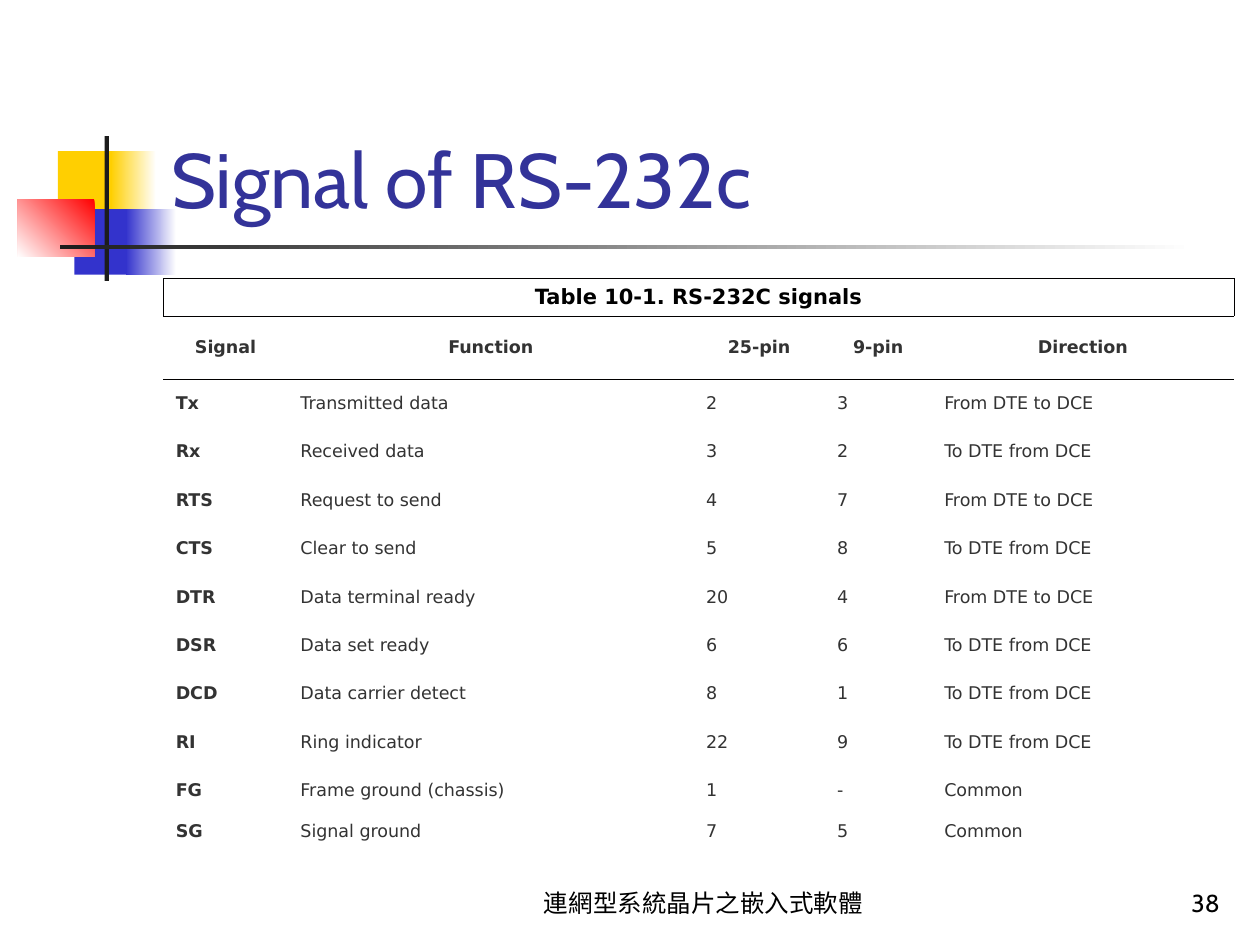
import dataclasses

import lxml.etree
import pptx
import pptx.dml.color
import pptx.enum.shapes
import pptx.enum.text
import pptx.oxml.ns
import pptx.util

ALIGN = pptx.enum.text.PP_ALIGN
ANCHOR = pptx.enum.text.MSO_ANCHOR


@dataclasses.dataclass(frozen=True)
class Theme:
    """Colours, fonts and type sizes of the slide."""
    yellow: str = "FFCF01"
    blue: str = "3333CC"
    red: str = "FF0000"
    white: str = "FFFFFF"
    rule: str = "1C1C1C"
    title: str = "333399"
    ink: str = "000000"
    body: str = "333333"
    border: str = "010000"
    heading_font: str = "Cabin"
    table_font: str = "DejaVu Sans"
    title_size: int = 44
    footer_size: int = 14
    caption_size: int = 12
    body_size: int = 10


THEME = Theme()
SLIDE_WIDTH = pptx.util.Inches(10)
SLIDE_HEIGHT = pptx.util.Inches(7.5)
GRID_COLUMNS, GRID_ROWS = 100, 75
HANGING = 3.75
BORDER_POINTS = 0.06
NO_TABLE_STYLE = "{2D5ABB26-0587-4C30-8999-92F81FD0307C}"

COLUMN_SPANS = [9.9, 32.2, 10.4, 8.5, 24]
TABLE_ROWS, CAPTION_ROWS, HEADER_ROWS, LAST_ROWS = 45.3, 3, 5, 2.7
CAPTION = "Table 10-1. RS-232C signals"
HEADER = ["Signal", "Function", "25-pin", "9-pin", "Direction"]
OUTWARD, INWARD, COMMON = "From DTE to DCE", "To DTE from DCE", "Common"
SIGNALS = [
    ["Tx", "Transmitted data", "2", "3", OUTWARD],
    ["Rx", "Received data", "3", "2", INWARD],
    ["RTS", "Request to send", "4", "7", OUTWARD],
    ["CTS", "Clear to send", "5", "8", INWARD],
    ["DTR", "Data terminal ready", "20", "4", OUTWARD],
    ["DSR", "Data set ready", "6", "6", INWARD],
    ["DCD", "Data carrier detect", "8", "1", INWARD],
    ["RI", "Ring indicator", "22", "9", INWARD],
    ["FG", "Frame ground (chassis)", "1", "-", COMMON],
    ["SG", "Signal ground", "7", "5", COMMON],
]


def across(columns):
    """Return the width of a number of grid columns."""
    return round(SLIDE_WIDTH * columns / GRID_COLUMNS)


def down(rows):
    """Return the height of a number of grid rows."""
    return round(SLIDE_HEIGHT * rows / GRID_ROWS)


def place(left, top, width, height):
    """Turn a grid position into slide lengths."""
    return across(left), down(top), across(width), down(height)


def rgb(code):
    """Return the colour for a hex code."""
    return pptx.dml.color.RGBColor.from_string(code)


def style_paragraph(paragraph, font, size, color, align, bold=False):
    """Align a paragraph and format its runs."""
    paragraph.alignment = align
    for run in paragraph.runs:
        run.font.name = font
        run.font.size = pptx.util.Pt(size)
        run.font.color.rgb = rgb(color)
        run.font.bold = bold


def add_block(slide, position, start, end=None, angle=0):
    """Add a borderless rectangle, plain or fading from start to end."""
    block = slide.shapes.add_shape(
        pptx.enum.shapes.MSO_SHAPE.RECTANGLE, *place(*position))
    block.shadow.inherit = False
    block.line.fill.background()
    if end is None:
        block.fill.solid()
        block.fill.fore_color.rgb = rgb(start)
        return
    block.fill.gradient()
    block.fill.gradient_angle = angle
    for stop, code, share in zip(block.fill.gradient_stops, (start, end), (0, 1)):
        stop.color.rgb = rgb(code)
        stop.position = share


def add_ornament(slide):
    """Add the coloured squares and the crossing rules beside the title."""
    add_block(slide, (4.6, 12, 4.8, 5.2), THEME.yellow)
    add_block(slide, (8.8, 12, 3.6, 5.2), THEME.white, THEME.yellow, 180)
    add_block(slide, (5.9, 16.6, 4.6, 5.2), THEME.blue)
    add_block(slide, (10, 16.6, 4, 5.2), THEME.white, THEME.blue, 180)
    add_block(slide, (1.4, 15.8, 6.1, 4.6), THEME.red, THEME.white, 225)
    add_block(slide, (8.3, 10.8, 0.35, 11.5), THEME.rule)
    add_block(slide, (4.8, 19.45, 90, 0.35), THEME.white, THEME.rule, 180)


def add_label(slide, position, text, size, color, align):
    """Add a bottom-anchored line of text in the heading font."""
    frame = slide.shapes.add_textbox(*place(*position)).text_frame
    frame.word_wrap = True
    frame.vertical_anchor = ANCHOR.BOTTOM
    frame.text = text
    style_paragraph(frame.paragraphs[0], THEME.heading_font, size, color, align)


def fill_cell(cell, text, size, color, align, bold):
    """Write text with a hanging indent into an unfilled cell."""
    cell.fill.background()
    cell.vertical_anchor = ANCHOR.MIDDLE
    cell.text_frame.text = text
    paragraph = cell.text_frame.paragraphs[0]
    properties = paragraph._p.get_or_add_pPr()
    properties.set("marL", str(across(HANGING)))
    properties.set("indent", str(-across(HANGING)))
    style_paragraph(paragraph, THEME.table_font, size, color, align, bold)


def add_borders(cell, sides):
    """Draw hairlines on the given sides, in the order L, R, T, B."""
    name = pptx.oxml.ns.qn
    properties = cell._tc.get_or_add_tcPr()
    for index, side in enumerate(sides):
        line = lxml.etree.Element(
            name(f"a:ln{side}"), w=str(pptx.util.Pt(BORDER_POINTS)))
        paint = lxml.etree.SubElement(line, name("a:solidFill"))
        lxml.etree.SubElement(paint, name("a:srgbClr"), val=THEME.border)
        properties.insert(index, line)


def add_signal_table(slide):
    """Add the captioned table of signals."""
    records = [[CAPTION] + [""] * (len(HEADER) - 1), HEADER, *SIGNALS]
    even_rows = (TABLE_ROWS - CAPTION_ROWS - HEADER_ROWS - LAST_ROWS) / (len(SIGNALS) - 1)
    row_spans = [CAPTION_ROWS, HEADER_ROWS] + [even_rows] * (len(SIGNALS) - 1) + [LAST_ROWS]
    table = slide.shapes.add_table(
        len(records), len(HEADER),
        *place(12.95, 22.1, sum(COLUMN_SPANS), TABLE_ROWS)).table
    table.first_row = table.horz_banding = False
    table._tbl.tblPr.find(pptx.oxml.ns.qn("a:tableStyleId")).text = NO_TABLE_STYLE
    for column, span in zip(table.columns, COLUMN_SPANS):
        column.width = across(span)
    for row, span in zip(table.rows, row_spans):
        row.height = down(span)
    table.cell(0, 0).merge(table.cell(0, len(HEADER) - 1))
    for r, record in enumerate(records):
        size, color = ((THEME.caption_size, THEME.ink) if r == 0
                       else (THEME.body_size, THEME.body))
        align = ALIGN.CENTER if r < 2 else ALIGN.LEFT
        for c, text in enumerate(record):
            cell = table.cell(r, c)
            fill_cell(cell, text, size, color, align, r < 2 or c == 0)
            if r < 2:
                add_borders(cell, "LRTB" if r == 0 else "T")


def main():
    """Build and save the slide."""
    deck = pptx.Presentation()
    deck.slide_width, deck.slide_height = SLIDE_WIDTH, SLIDE_HEIGHT
    slide = deck.slides.add_slide(deck.slide_layouts[6])
    add_ornament(slide)
    add_label(slide, (12.6, 2.3, 85.2, 16), "Signal of RS-232c",
              THEME.title_size, THEME.title, ALIGN.LEFT)
    add_signal_table(slide)
    add_label(slide, (40, 68.3, 31.7, 5), "連網型系統晶片之嵌入式軟體",
              THEME.footer_size, THEME.ink, ALIGN.CENTER)
    add_label(slide, (77, 68.3, 20.8, 5), "38",
              THEME.footer_size, THEME.ink, ALIGN.RIGHT)
    deck.save("out.pptx")


if __name__ == "__main__":
    main()
